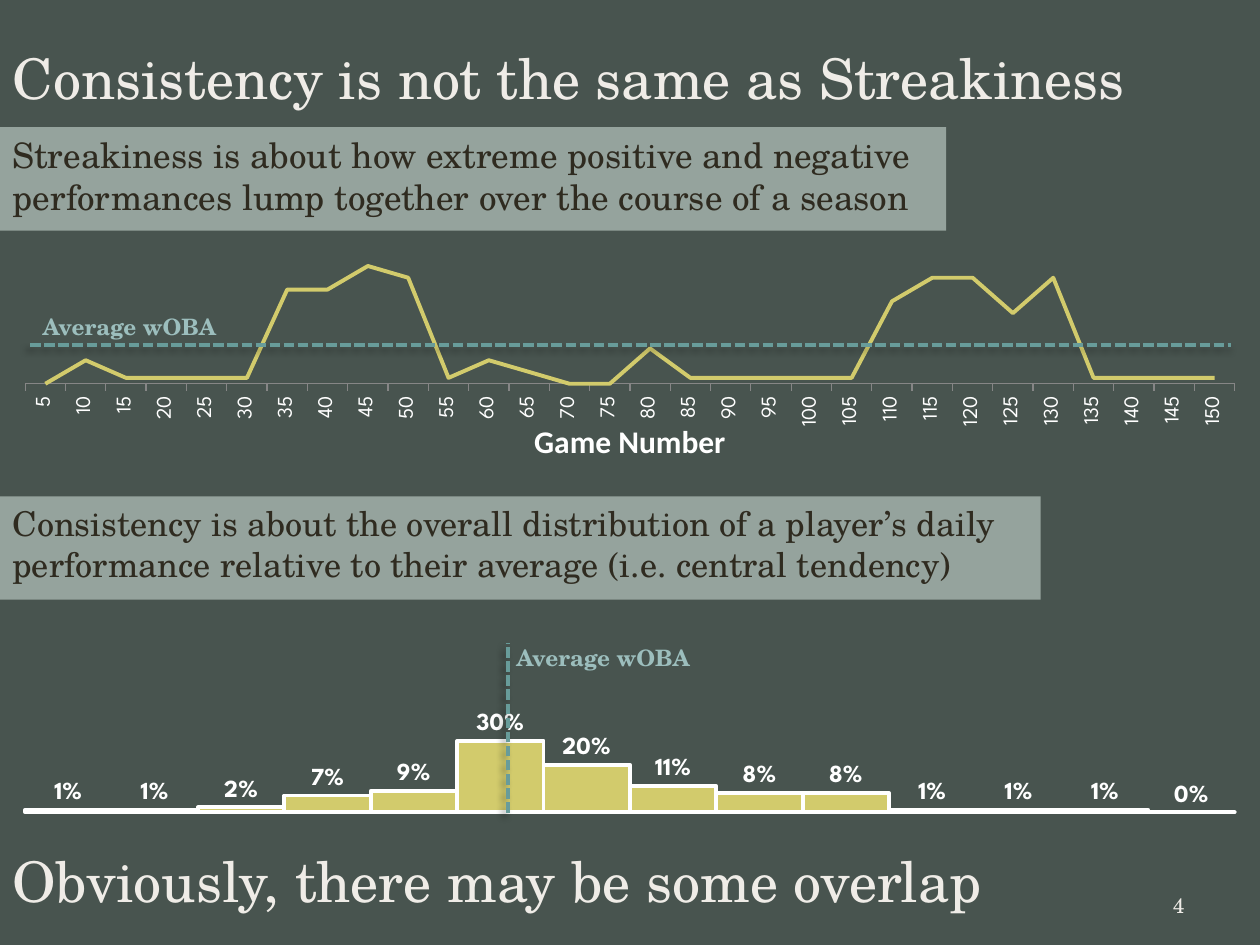
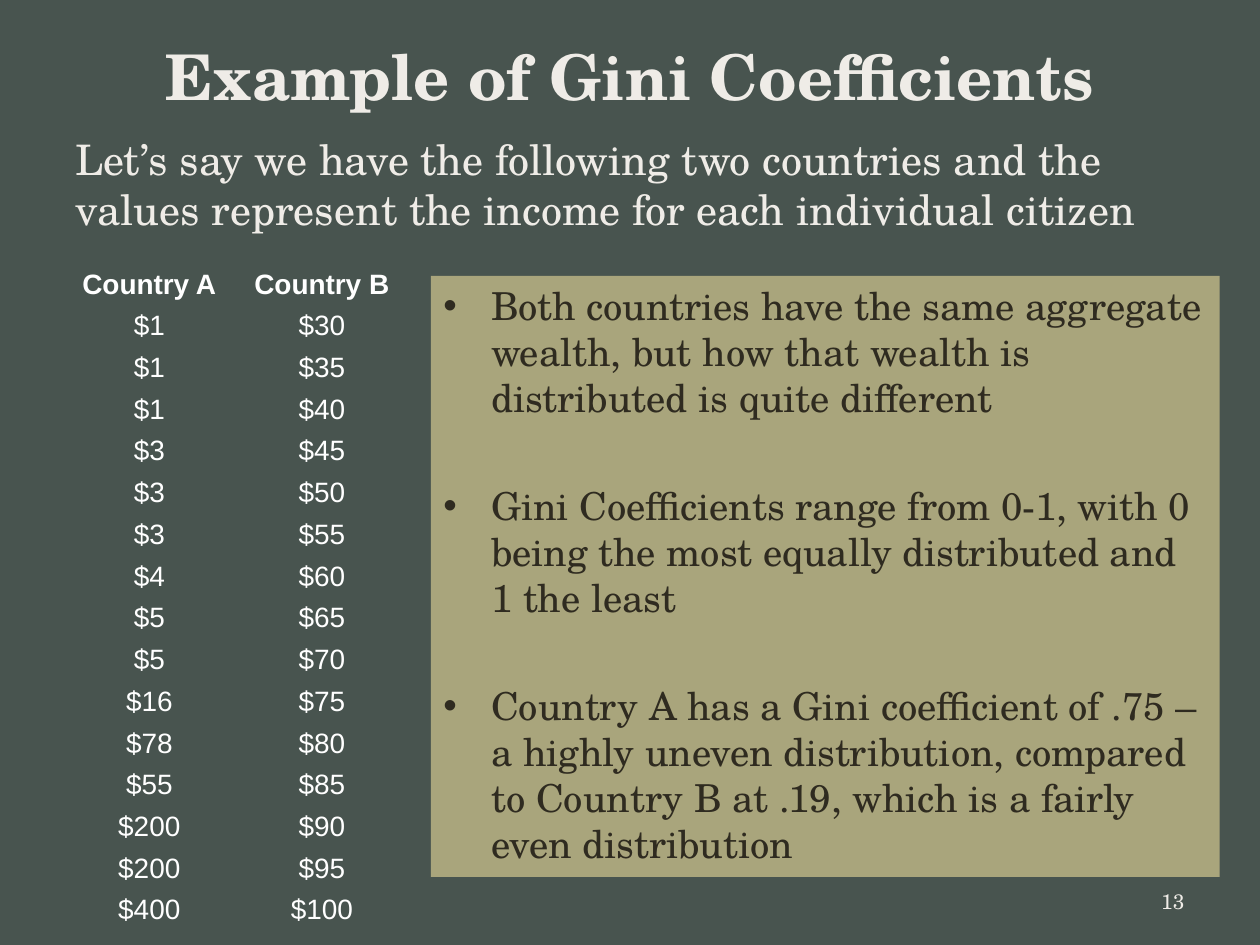
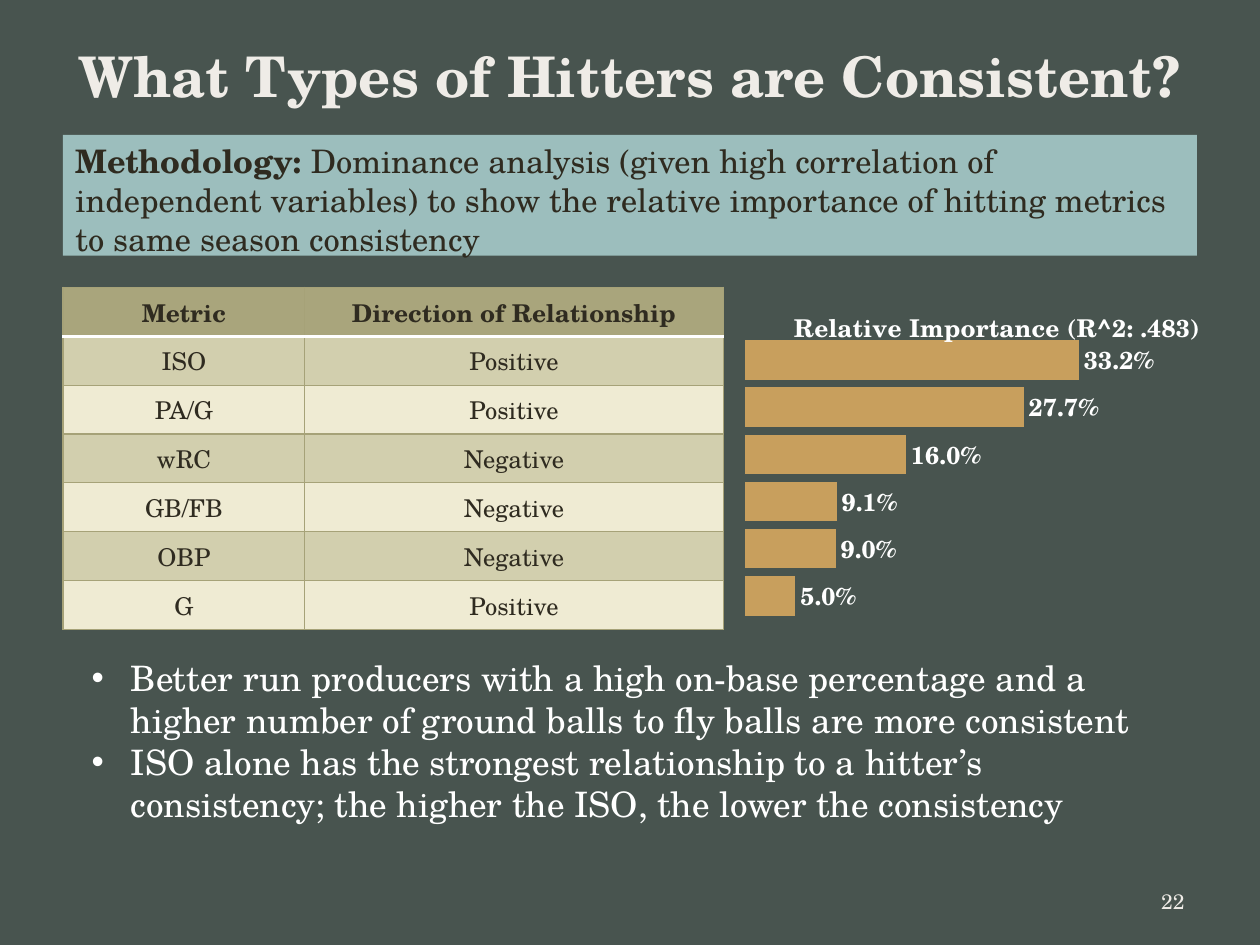
import collections

import pptx
import pptx.chart.data
import pptx.dml.color
import pptx.enum.chart
import pptx.enum.dml
import pptx.enum.shapes
import pptx.enum.text
import pptx.oxml
import pptx.oxml.ns
import pptx.util

SLATE, CREAM, INK, WHITE = "48544F", "EFECE7", "2F2B20", "FFFFFF"
SAGE, AQUA, TEAL, KHAKI = "95A39D", "9CBEBD", "689C9A", "A9A57C"
YELLOW, OCHRE, GREY = "D2CB6C", "C89F5D", "868686"
BAND_DARK, BAND_LIGHT, GRID_LINE = "D2CFAE", "EFEBD3", "A6A278"
SERIF, SANS, LABEL, AXIS = "TeX Gyre Schola", "Arial", "League Spartan", "Calibri"
NO_TABLE_STYLE = "{2D5ABB26-0587-4C30-8999-92F81FD0307C}"
UNIT = 0.1

Align = pptx.enum.text.PP_ALIGN
Anchor = pptx.enum.text.MSO_ANCHOR
ChartType = pptx.enum.chart.XL_CHART_TYPE
qn = pptx.oxml.ns.qn


class Box(collections.namedtuple("Box", "col row cols rows")):
    """A region on the grid of 100 columns and 75 rows."""

    def sub(self, col, row, cols=0, rows=0):
        """Return a box placed relative to this one."""
        return Box(self.col + col, self.row + row, cols, rows)

    def emu(self):
        """Return left, top, width and height for python-pptx."""
        return [pptx.util.Inches(v * UNIT) for v in self]


PAGE = Box(0, 0, 100, 75)


def rgb(value):
    """Turn a hex string into a colour."""
    return pptx.dml.color.RGBColor.from_string(value)


def style(font, size, color, bold=False, name=SERIF):
    """Format a font."""
    font.size, font.bold, font.name = pptx.util.Pt(size), bold, name
    font.color.rgb = rgb(color)


def element(tag, **attrs):
    """Make an element from a prefixed tag and its attributes."""
    el = pptx.oxml.parse_xml(f'<{tag} {pptx.oxml.ns.nsdecls(tag.split(":")[0])}/>')
    for key, value in attrs.items():
        el.set(key, str(value))
    return el


def nest(parent, tag, **attrs):
    """Append a new child element and return it."""
    el = element(tag, **attrs)
    parent.append(el)
    return el


def write(tf, text, lead="", size=20, color=CREAM, bold=False, name=SERIF,
          align=None, indent=0, before=0):
    """Add one paragraph, with an optional bold lead and hanging bullet."""
    p = tf.paragraphs[0]
    if p.runs:
        p = tf.add_paragraph()
        p.space_before = pptx.util.Pt(before)
    p.alignment = align
    if indent:
        pPr = p._p.get_or_add_pPr()
        pPr.set("marL", str(pptx.util.Inches(indent)))
        pPr.set("indent", str(-pptx.util.Inches(indent)))
        nest(pPr, "a:buFont", typeface=SANS)
        nest(pPr, "a:buChar", char="•")
    for words, weight in ((lead, True), (text, bold)):
        if words:
            r = p.add_run()
            r.text = words
            style(r.font, size, color, weight, name)


def text_box(s, box, text, anchor=Anchor.MIDDLE, **fmt):
    """Place a wrapped text box."""
    tf = s.shapes.add_textbox(*box.emu()).text_frame
    tf.word_wrap, tf.vertical_anchor = True, anchor
    write(tf, text, **fmt)
    return tf


def panel(s, box, fill, paragraphs, **fmt):
    """Place a filled rectangle with dark text."""
    sp = s.shapes.add_shape(pptx.enum.shapes.MSO_SHAPE.RECTANGLE, *box.emu())
    sp.shadow.inherit = False
    sp.fill.solid()
    sp.fill.fore_color.rgb = rgb(fill)
    sp.line.fill.background()
    sp.text_frame.vertical_anchor = Anchor.TOP
    for text in paragraphs:
        write(sp.text_frame, text, color=INK, align=Align.LEFT, **fmt)


def new_slide(prs, title, number, box, number_row=69.5, **fmt):
    """Add a slide with its title and page number."""
    s = prs.slides.add_slide(prs.slide_layouts[5])
    sp = s.shapes.title
    sp.left, sp.top, sp.width, sp.height = box.emu()
    tf = sp.text_frame
    tf.word_wrap, tf.vertical_anchor = True, Anchor.MIDDLE
    tf.auto_size = pptx.enum.text.MSO_AUTO_SIZE.NONE
    write(tf, title, **fmt)
    text_box(s, PAGE.sub(71.7, number_row, 23.3, 4), number, size=12, align=Align.RIGHT)
    return s


def average_line(s, start, end):
    """Draw a dashed line with a soft shadow between two grid points."""
    ends = start.emu()[:2] + end.emu()[:2]
    line = s.shapes.add_connector(pptx.enum.shapes.MSO_CONNECTOR.STRAIGHT, *ends)
    line.line.color.rgb = rgb(TEAL)
    line.line.width = pptx.util.Pt(2)
    line.line.dash_style = pptx.enum.dml.MSO_LINE.SQUARE_DOT
    effects = nest(line._element.spPr, "a:effectLst")
    shadow = nest(effects, "a:outerShdw", blurRad=pptx.util.Pt(4), dist=pptx.util.Pt(3),
                  dir=135 * 60000, rotWithShape=0)
    nest(nest(shadow, "a:srgbClr", val="000000"), "a:alpha", val=40000)


def average_label(s, box):
    """Name the average line."""
    text_box(s, box, "Average wOBA", size=12.9, color=AQUA, bold=True)


def add_chart(s, box, kind, name, cats, vals, peak, plot, fmt="General"):
    """Place a one-series chart without value axis and fix its plot area."""
    data = pptx.chart.data.CategoryChartData(number_format=fmt)
    data.categories = cats
    data.add_series(name, vals)
    chart = s.shapes.add_chart(kind, *box.emu(), data).chart
    chart.has_legend = chart.has_title = False
    style(chart.font, 18, INK, name=AXIS)
    axis = chart.value_axis
    axis.minimum_scale, axis.maximum_scale = 0, peak
    axis.has_major_gridlines = axis.visible = False
    area = chart._chartSpace.chart.plotArea
    for old in area.findall(qn("c:layout")):
        area.remove(old)
    layout = element("c:layout")
    area.insert(0, layout)
    manual = nest(layout, "c:manualLayout")
    nest(manual, "c:layoutTarget", val="inner")
    for side in "xy":
        nest(manual, f"c:{side}Mode", val="edge")
    for side, share in zip("xywh", plot):
        nest(manual, f"c:{side}", val=share)
    return chart


def color_bars(chart, color, gap, fmt, label_font):
    """Fill the bars, hide the category axis and label the values."""
    chart.category_axis.visible = False
    plot = chart.plots[0]
    plot.gap_width, plot.vary_by_categories, plot.has_data_labels = gap, False, True
    labels = plot.data_labels
    labels.show_value = True
    labels.number_format, labels.number_format_is_linked = fmt, False
    labels.position = pptx.enum.chart.XL_LABEL_POSITION.OUTSIDE_END
    style(labels.font, 14, WHITE, True, label_font)
    form = plot.series[0].format
    form.fill.solid()
    form.fill.fore_color.rgb = rgb(color)
    return form


def streak_chart(s, box):
    """Chart performance by game number with its average line."""
    vals = [0, 20, 5, 5, 5, 5, 80, 80, 100, 90, 5, 20, 10, 0, 0,
            30, 5, 5, 5, 5, 5, 70, 90, 90, 60, 90, 5, 5, 5, 5]
    cats = [str(game) for game in range(5, 151, 5)]
    chart = add_chart(s, box, ChartType.LINE, "Performance", cats, vals, 120,
                      (0.02, 0.45, 0.96, 0.34))
    chart.plots[0].vary_by_categories = False
    series = chart.plots[0].series[0]
    series.smooth = False
    series.format.line.color.rgb = rgb(YELLOW)
    series.format.line.width = pptx.util.Pt(2.25)
    axis = chart.category_axis
    axis.major_tick_mark = pptx.enum.chart.XL_TICK_MARK.OUTSIDE
    axis.format.line.color.rgb = rgb(GREY)
    style(axis.tick_labels.font, 12, WHITE, name=LABEL)
    body = axis._element.find(qn("c:txPr")).find(qn("a:bodyPr"))
    body.set("rot", str(-90 * 60000))
    write(axis.axis_title.text_frame, "Game Number", size=18, color=WHITE, bold=True, name=AXIS)
    average_line(s, box.sub(2.4, 23), box.sub(97.7, 23))
    average_label(s, box.sub(2.4, 20, 20.2, 3))


def spread_chart(s, box):
    """Chart the distribution of performances with its average line."""
    vals = [0.01, 0.01, 0.02, 0.07, 0.09, 0.3, 0.2, 0.11, 0.08, 0.08, 0.01, 0.01, 0.01, 0]
    cats = [str(n + 1) for n in range(len(vals))]
    chart = add_chart(s, box, ChartType.COLUMN_CLUSTERED, "Share", cats, vals, 0.35,
                      (0.02, 0.59, 0.96, 0.2), "0%")
    form = color_bars(chart, YELLOW, 0, "0%", LABEL)
    form.line.color.rgb = rgb(WHITE)
    form.line.width = pptx.util.Pt(2.25)
    average_line(s, box.sub(40.3, 26.1), box.sub(40.3, 12.6))
    average_label(s, box.sub(40, 12.3, 27.5, 3))


def importance_chart(s, box):
    """Chart the relative importance of each metric."""
    vals = [0.05, 0.09, 0.091, 0.16, 0.277, 0.332]
    cats = ["G", "OBP", "GB/FB", "wRC", "PA/G", "ISO"]
    chart = add_chart(s, box, ChartType.BAR_CLUSTERED, "Importance", cats, vals, 0.35,
                      (0.02, 0.13, 0.67, 0.75), "0.0%")
    color_bars(chart, OCHRE, 20, "0.0%", SERIF)
    chart.has_title = True
    write(chart.chart_title.text_frame, "Relative Importance (R^2: .483)",
          size=14, color=WHITE, bold=True)


def add_table(s, box, rows, widths):
    """Place an unstyled table with equal rows and yield its cells."""
    table = s.shapes.add_table(len(rows), len(widths), *box.emu()).table
    table.first_row = table.horz_banding = False
    table._tbl.tblPr.find(qn("a:tableStyleId")).text = NO_TABLE_STYLE
    for column, width in zip(table.columns, widths):
        column.width = pptx.util.Inches(width * UNIT)
    for i, row in enumerate(rows):
        table.rows[i].height = pptx.util.Inches(box.rows / len(rows) * UNIT)
        for j, text in enumerate(row):
            yield i, table.cell(i, j), text


def income_table(s, box):
    """List the incomes of both countries."""
    incomes = [1, 1, 1, 3, 3, 3, 4, 5, 5, 16, 78, 55, 200, 200, 400]
    rows = [("Country A", "Country B")]
    rows += [(f"${a}", f"${30 + 5 * i}") for i, a in enumerate(incomes)]
    for i, cell, text in add_table(s, box, rows, [box.cols / 2] * 2):
        cell.fill.background()
        cell.vertical_anchor = Anchor.BOTTOM
        cell.margin_left = cell.margin_right = cell.margin_top = pptx.util.Inches(0.01)
        cell.margin_bottom = 0
        write(cell.text_frame, text, size=16, color=WHITE, bold=i == 0,
              name=SANS, align=Align.CENTER)


def border(cell, side, color, width):
    """Draw one edge of a cell."""
    ln = nest(cell._tc.get_or_add_tcPr(), f"a:ln{side}", w=pptx.util.Pt(width))
    nest(nest(ln, "a:solidFill"), "a:srgbClr", val=color)


def metric_table(s, box):
    """List the metrics and the direction of their relationship."""
    rows = [("Metric", "Direction of Relationship"), ("ISO", "Positive"),
            ("PA/G", "Positive"), ("wRC", "Negative"), ("GB/FB", "Negative"),
            ("OBP", "Negative"), ("G", "Positive")]
    for i, cell, text in add_table(s, box, rows, (19.2, 33.2)):
        for side in "LRTB":
            under_header = (i, side) in ((0, "B"), (1, "T"))
            border(cell, side, *((WHITE, 2) if under_header else (GRID_LINE, 0.75)))
        cell.fill.solid()
        cell.fill.fore_color.rgb = rgb((BAND_LIGHT, BAND_DARK)[i % 2] if i else KHAKI)
        cell.vertical_anchor = Anchor.MIDDLE
        write(cell.text_frame, text, size=14, color=INK, bold=i == 0, align=Align.CENTER)


def streakiness_slide(prs):
    """Contrast streakiness with consistency."""
    s = new_slide(prs, "Consistency is not the same as Streakiness", "4",
                  PAGE.sub(0, 2.6, 100, 7.1), 69.8, size=32, align=Align.LEFT)
    streak_chart(s, PAGE.sub(0, 4.4, 100, 33))
    spread_chart(s, PAGE.sub(0, 38.4, 100, 33))
    panel(s, PAGE.sub(0, 10.1, 75.1, 8.2), SAGE,
          ["Streakiness is about how extreme positive and negative performances "
           "lump together over the course of a season"])
    panel(s, PAGE.sub(0, 39.4, 82.6, 8.2), SAGE,
          ["Consistency is about the overall distribution of a player’s daily "
           "performance relative to their average (i.e. central tendency)"], size=19.5)
    text_box(s, PAGE.sub(0, 66.3, 100, 7.1), "Obviously, there may be some overlap", size=32)


def gini_slide(prs):
    """Explain Gini coefficients with two countries."""
    s = new_slide(prs, "Example of Gini Coefficients", "13", PAGE.sub(5, 2.3, 90, 7.4),
                  size=36, bold=True, align=Align.CENTER)
    text_box(s, PAGE.sub(5, 10.1, 90, 9.8),
             "Let’s say we have the following two countries and the values represent "
             "the income for each individual citizen", Anchor.TOP, size=24)
    income_table(s, PAGE.sub(5, 20.5, 27.4, 53))
    panel(s, PAGE.sub(34.2, 21.9, 62.6, 47.7), KHAKI, [
        "Both countries have the same aggregate wealth, but how that wealth is "
        "distributed is quite different",
        "Gini Coefficients range from 0-1, with 0 being the most equally distributed "
        "and 1 the least",
        "Country A has a Gini coefficient of .75 – a highly uneven distribution, "
        "compared to Country B at .19, which is a fairly even distribution",
    ], size=22, indent=0.38, before=35)


def hitters_slide(prs):
    """Show which hitting metrics relate to consistency."""
    s = new_slide(prs, "What Types of Hitters are Consistent?", "22",
                  PAGE.sub(5, 2.3, 90, 7.4), size=32, bold=True, align=Align.CENTER)
    panel(s, PAGE.sub(5, 10.7, 90, 9.6), AQUA,
          ["Dominance analysis (given high correlation of independent variables) to show "
           "the relative importance of hitting metrics to same season consistency"],
          lead="Methodology: ", size=18.5)
    metric_table(s, PAGE.sub(5, 22.8, 52.4, 27.2))
    importance_chart(s, PAGE.sub(58.3, 22.8, 41.7, 30))
    bullet = dict(color=WHITE, indent=0.31)
    tf = text_box(s, PAGE.sub(6.3, 51.6, 88.7, 14.5),
                  "Better run producers with a high on-base percentage and a higher number "
                  "of ground balls to fly balls are more consistent", Anchor.TOP, **bullet)
    write(tf, "ISO alone has the strongest relationship to a hitter’s consistency; "
              "the higher the ISO, the lower the consistency", **bullet)


def main():
    """Build and save the presentation."""
    prs = pptx.Presentation()
    prs.slide_width, prs.slide_height = PAGE.emu()[2:]
    fill = prs.slide_master.background.fill
    fill.solid()
    fill.fore_color.rgb = rgb(SLATE)
    for build in (streakiness_slide, gini_slide, hitters_slide):
        build(prs)
    prs.save("out.pptx")


if __name__ == "__main__":
    main()
